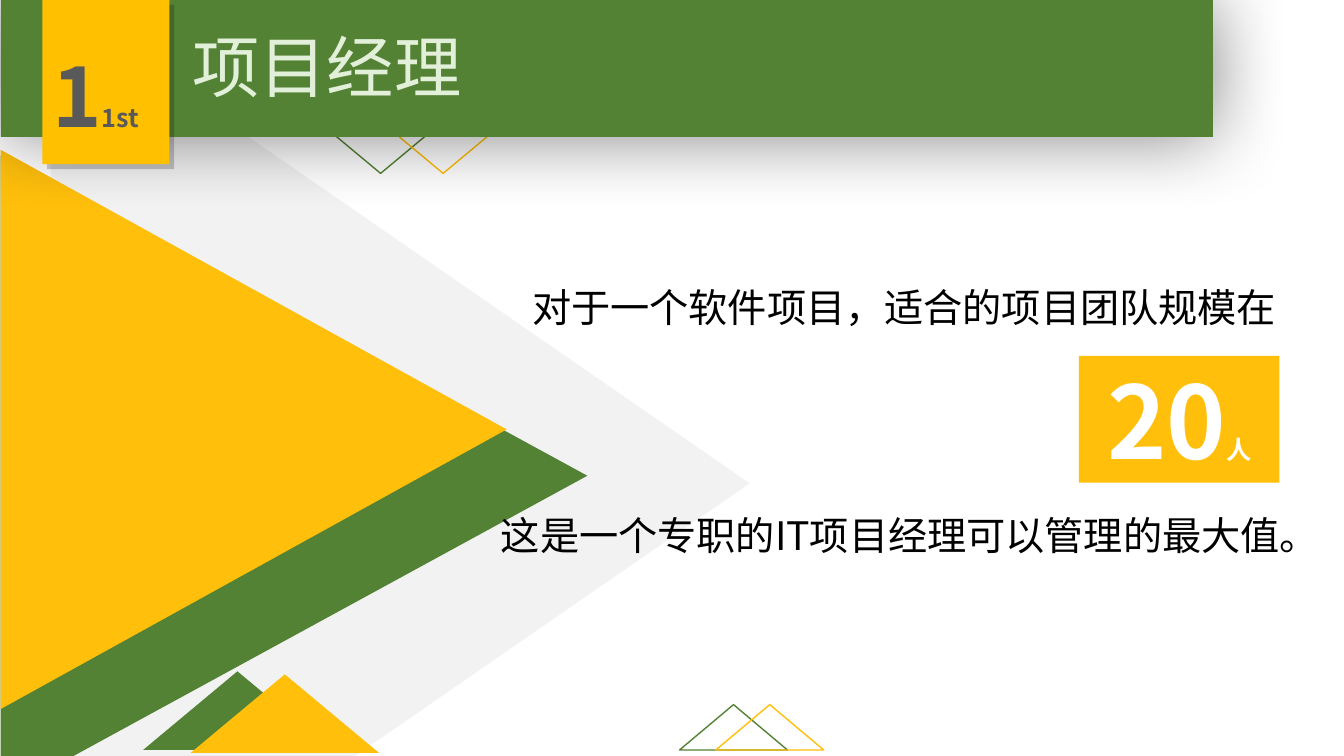
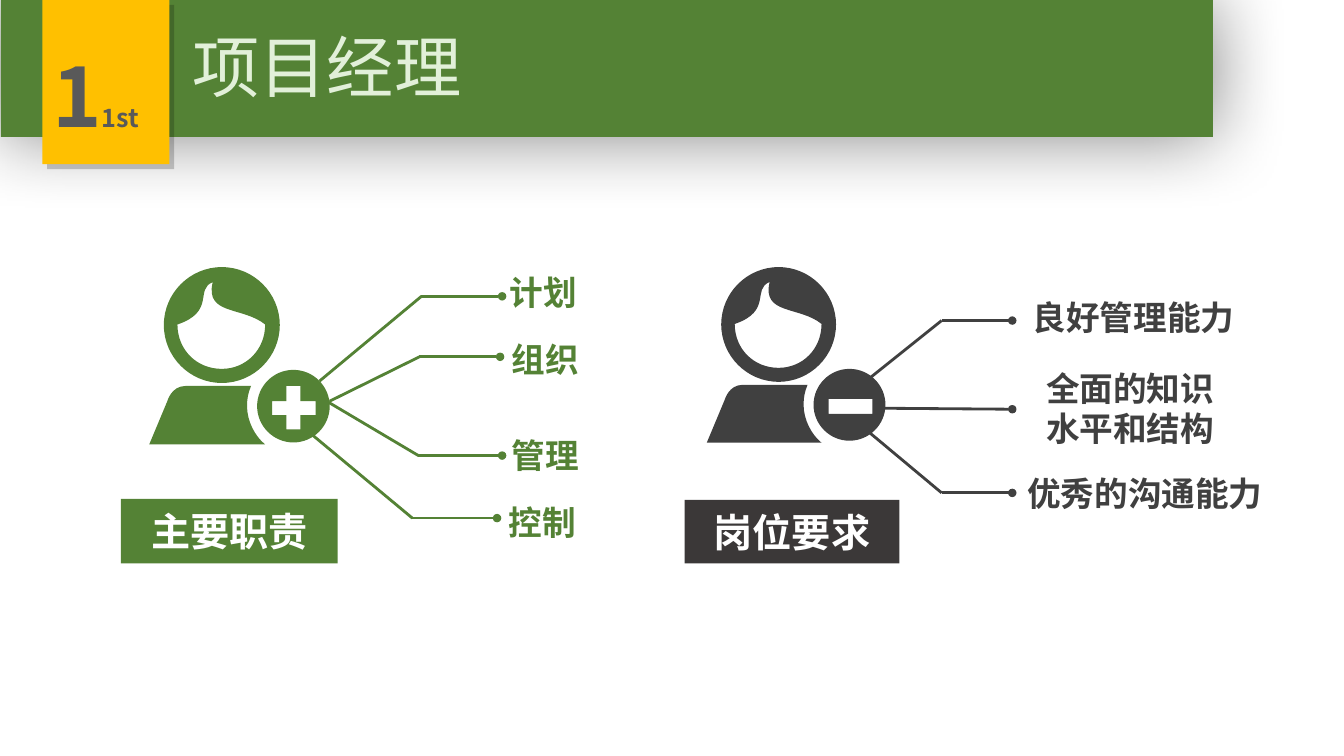
from lxml.etree import SubElement
from pptx import Presentation
from pptx.dml.color import RGBColor
from pptx.enum.shapes import MSO_CONNECTOR, MSO_SHAPE
from pptx.enum.text import MSO_ANCHOR, MSO_AUTO_SIZE, PP_ALIGN
from pptx.oxml.ns import qn
from pptx.util import Pt

PX = 9144  # EMU per px, 100 px to the inch
FONT = "Noto Sans CJK SC"
GREEN, AMBER, GOLD = "548235", "FFBF0B", "FFC000"
PALE_GREEN, PALE_GREY, GREY = "E2F0D9", "F2F2F2", "595959"
DARK, DARK_LABEL, WHITE, BLACK = "404040", "3B3838", "FFFFFF", "000000"


def rgb(hex_color):
    return RGBColor.from_string(hex_color)


def emu(*lengths):
    return [round(v * PX) for v in lengths]


def style_run(r, size, color, bold):
    r.font.name, r.font.size, r.font.bold = FONT, Pt(size), bold
    r.font.color.rgb = rgb(color)
    SubElement(r.font._element, qn("a:ea"), typeface=FONT)


def write(tf, text, size, color, bold=False, align=PP_ALIGN.LEFT, suffix=None):
    """Fill a text frame; suffix is a smaller run after the text."""
    tf.text = text
    if suffix:
        tf.paragraphs[0].add_run().text = suffix
    for p in tf.paragraphs:
        p.alignment = align
        for i, r in enumerate(p.runs):
            style_run(r, 18 if i else size, color, bold)


def add_text(s, box, text, size, color, wrap=True, **style):
    tf = s.shapes.add_textbox(*emu(*box)).text_frame
    tf.word_wrap = wrap
    write(tf, text, size, color, **style)


def paint(sp, fill=None, line=None):
    sp.shadow.inherit = False
    if fill:
        sp.fill.solid()
        sp.fill.fore_color.rgb = rgb(fill)
    else:
        sp.fill.background()
    if line:
        sp.line.color.rgb = rgb(line)
        sp.line.width = Pt(1)
    else:
        sp.line.fill.background()


def add_triangle(s, box, fill=None, line=None, rotation=0):
    sp = s.shapes.add_shape(MSO_SHAPE.ISOSCELES_TRIANGLE, *emu(*box))
    sp.rotation = rotation
    paint(sp, fill, line)


def add_rect(s, box, fill):
    sp = s.shapes.add_shape(MSO_SHAPE.RECTANGLE, *emu(*box))
    paint(sp, fill)
    return sp


def add_label(s, box, fill, text, size, suffix=None):
    tf = add_rect(s, box, fill).text_frame
    tf.vertical_anchor = MSO_ANCHOR.MIDDLE
    write(tf, text, size, WHITE, True, PP_ALIGN.CENTER, suffix)


def add_shadow(sp, alpha, blur, dist, angle):
    effects = sp._element.spPr.find(qn("a:effectLst"))
    shadow = SubElement(effects, qn("a:outerShdw"), blurRad=str(Pt(blur)),
                        dist=str(Pt(dist)), dir=str(angle * 60000),
                        algn="ctr", rotWithShape="0")
    color = SubElement(shadow, qn("a:srgbClr"), val=BLACK)
    SubElement(color, qn("a:alpha"), val=str(alpha * 1000))


def add_header(s, title):
    add_shadow(add_rect(s, (1, 0, 1202, 136), GREEN), 48, 54, 0, 0)
    add_shadow(add_rect(s, (42, 0, 126, 163), GOLD), 20, 0, 5, 45)
    add_text(s, (42, 38, 139, 111), "1", 60, GREY, bold=True, suffix="1st")
    sp = s.shapes.title
    sp.left, sp.top, sp.width, sp.height = emu(181, 20, 479, 91)
    tf = sp.text_frame
    tf.auto_size = MSO_AUTO_SIZE.NONE
    tf.vertical_anchor = MSO_ANCHOR.TOP
    write(tf, title, 48, PALE_GREEN)
    sp._element.getparent().append(sp._element)  # bring in front of the band


def add_line(s, start, end, color, dot=False):
    cxn = s.shapes.add_connector(MSO_CONNECTOR.STRAIGHT, *emu(*start, *end))
    cxn.line.color.rgb = rgb(color)
    cxn.line.width = Pt(2)
    sp_pr = cxn._element.spPr
    if dot:
        SubElement(sp_pr.find(qn("a:ln")), qn("a:headEnd"), type="oval")
    SubElement(sp_pr, qn("a:effectLst"))


def add_callout(s, points, box, text, color):
    """Line from a dot through the points, with its right-aligned text."""
    for i, (start, end) in enumerate(zip(points, points[1:])):
        add_line(s, start, end, color, dot=i == 0)
    add_text(s, box, text, 24, color, bold=True, align=PP_ALIGN.RIGHT)


def circle(cx, cy, r):
    """Outline of four Bézier quarters."""
    k = 0.55 * r
    return [[(cx + r, cy)],
            [(cx + r, cy + k), (cx + k, cy + r), (cx, cy + r)],
            [(cx - k, cy + r), (cx - r, cy + k), (cx - r, cy)],
            [(cx - r, cy - k), (cx - k, cy - r), (cx, cy - r)],
            [(cx + k, cy - r), (cx + r, cy - k), (cx + r, cy)]]


def polygon(*points):
    return [[point] for point in points]


# An outline is a start point, then segments: one point is a line, three a curve.
FACE = [[(63, 15)],
        [(45, 22), (66, 44), (28, 57)],
        [(28, 82), (47, 101), (72, 101)],
        [(96, 101), (115, 82), (115, 57)],
        [(93, 39), (55, 48), (63, 15)]]
BODY = [[(36, 118)], [(101, 118)],
        [(98, 125), (97, 131), (97, 138)],
        [(97, 153), (105, 168), (115, 176)],
        [(0, 176)], [(18, 133)],
        [(18, 133), (22, 118), (36, 118)]]
PLUS = polygon((122, 133), (136, 133), (136, 118), (150, 118), (150, 133), (165, 133),
               (165, 147), (150, 147), (150, 161), (136, 161), (136, 147), (122, 147))
MINUS = polygon((122, 132), (166, 132), (166, 147), (122, 147))


def bend(sp, segments):
    """Turn the lines of each three-point segment into one curve."""
    lines = iter(list(sp._element.iter(qn("a:lnTo"))))
    for segment in segments:
        group = [next(lines) for _ in segment]
        if len(group) == 3:
            curve = group[0].makeelement(qn("a:cubicBezTo"))
            group[0].addprevious(curve)
            for line in group:
                curve.append(line[0])
                line.getparent().remove(line)


def add_person(s, x, y, sign, color, zoom=1.0):
    detail = 100  # path units per px
    outlines = [circle(143, 138, 36), sign, circle(72, 57.5, 57.5), FACE, BODY]
    builder = s.shapes.build_freeform(scale=PX * zoom / detail)
    for outline in outlines:
        start, *points = [(px * detail, py * detail)
                          for segment in outline for px, py in segment]
        builder.move_to(*start)
        builder.add_line_segments(points, close=True)
    sp = builder.convert_to_shape(*emu(x, y))
    bend(sp, [segment for outline in outlines for segment in outline[1:]])
    first = next(sp._element.iter(qn("a:moveTo")))
    first.getparent().remove(first)  # the builder's own start point
    paint(sp, color)


def build_team_size(s):
    for box, fill in [((-82, 133, 958, 693), PALE_GREY),
                      ((-26, 181, 635, 582), GREEN),
                      ((-26, 175, 555, 502), AMBER)]:
        add_triangle(s, box, fill, rotation=90)
    add_triangle(s, (142, 666, 187, 78), GREEN)
    add_triangle(s, (189, 669, 187, 78), AMBER)
    for i, color in enumerate((GREEN, AMBER)):
        add_triangle(s, (284 + 62 * i, 94, 187, 78), line=color, rotation=180)
        add_triangle(s, (674 + 36 * i, 699, 107, 45), line=color)
    add_label(s, (1070, 353, 199, 126), AMBER, "20", 72, suffix="人")
    add_text(s, (518, 276, 890, 57), "对于一个软件项目，适合的项目团队规模在", 28, BLACK)
    add_text(s, (487, 502, 840, 57), "这是一个专职的IT项目经理可以管理的最大值。",
             28, BLACK, wrap=False)


def build_duties(s):
    duties = [
        ("计划", (337, 265), [(498, 294), (418, 294), (317, 378)]),
        ("组织", (339, 331), [(496, 354), (416, 354), (327, 398)]),
        ("管理", (339, 427), [(498, 452), (415, 452), (324, 398)]),
        ("控制", (336, 493), [(493, 514), (409, 514), (308, 430)]),
    ]
    for text, corner, points in duties:
        add_callout(s, points, (*corner, 245, 50), text, GREEN)
    add_person(s, 148, 265, PLUS, GREEN)
    add_label(s, (120, 495, 215, 64), GREEN, "主要职责", 28)

    demands = [
        ("良好管理能力", (989, 290, 245, 50), [(1004, 318), (934, 318), (864, 374)]),
        ("全面的知识\n水平和结构", (969, 360, 245, 91), [(1004, 406), (876, 405)]),
        ("优秀的沟通能力", (990, 464, 272, 50), [(1004, 489), (934, 489), (861, 428)]),
    ]
    for text, box, points in demands:
        add_callout(s, points, box, text, DARK)
    add_person(s, 701, 265, MINUS, DARK, zoom=0.99)
    add_label(s, (679, 496, 213, 63), DARK_LABEL, "岗位要求", 28)


def main():
    prs = Presentation()
    prs.slide_width, prs.slide_height = emu(1333, 750)
    title_only = prs.slide_layouts[5]
    for build in (build_team_size, build_duties):
        s = prs.slides.add_slide(title_only)
        build(s)
        add_header(s, "项目经理")
    prs.save("out.pptx")


if __name__ == "__main__":
    main()
